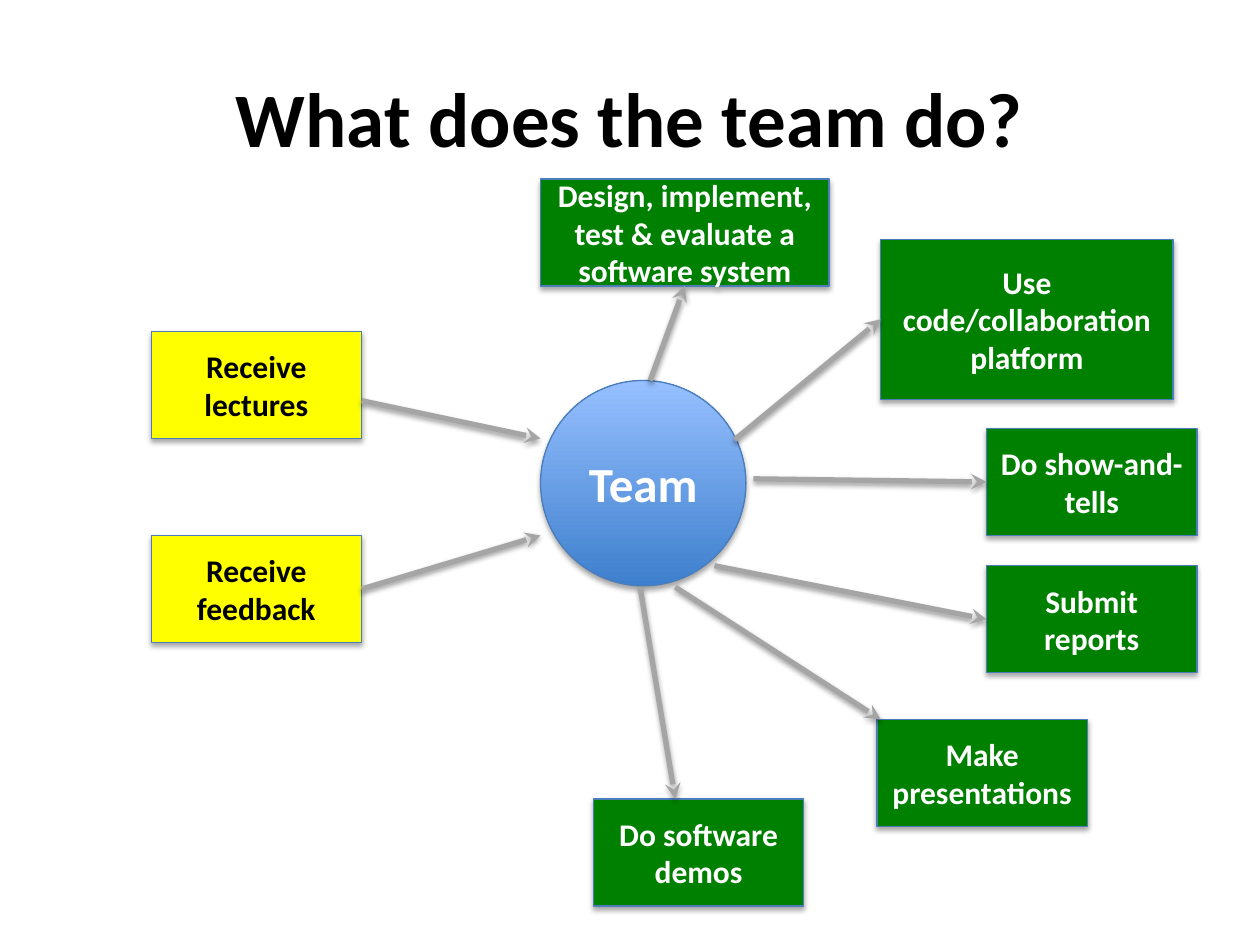
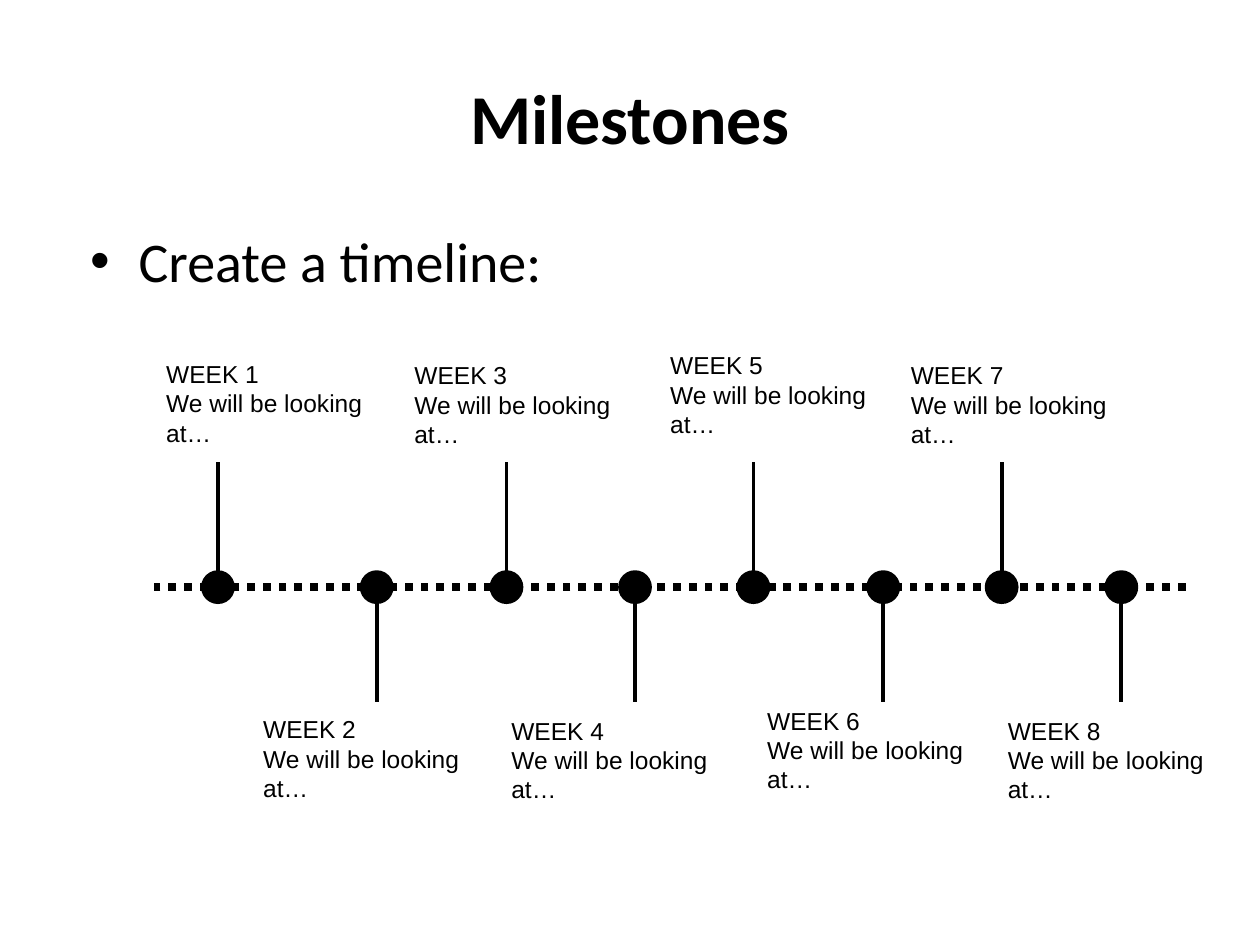
from pptx import Presentation, util as u
from pptx.dml.color import RGBColor
from pptx.enum import dml, shapes, text
from pptx.oxml.ns import qn
from lxml import etree

WIDTH, HEIGHT = 10, 7.5
BLACK, WHITE, GREEN, YELLOW = "000000", "FFFFFF", "008000", "FFFF00"
BLUE_EDGE, GREY = "4A7DBA", "A5A5A5"
TEAM_TOP, TEAM_BOTTOM = "96C0FF", "3E7FCD"
HEAD_FONT, LABEL_FONT = "Calibri", "Arial"
TOP, LEFT, BOTTOM = 0, 1, 2
RIGHT = 3

# Team slide: text, left, top, size, fill, text colour
BOX = (1.67, 0.85)
TEAM = (4.29, 3.02, 1.63, 1.63)
BOXES = [
    ("Make presentations", 6.96, 5.71, BOX, GREEN, WHITE),
    ("Receive feedback", 1.2, 4.25, BOX, YELLOW, BLACK),
    ("Receive lectures", 1.2, 2.63, BOX, YELLOW, BLACK),
    ("Do show-and-tells", 7.83, 3.4, BOX, GREEN, WHITE),
    ("Use code/collaboration platform", 6.99, 1.9, (2.32, 1.27), GREEN, WHITE),
    ("Design, implement, test & evaluate a software system",
     4.29, 1.42, (2.29, 0.85), GREEN, WHITE),
    ("Submit reports", 7.83, 4.49, BOX, GREEN, WHITE),
    ("Do software demos", 4.71, 6.34, BOX, GREEN, WHITE),
]
# Each end is a point, or the text of a box and the side to join
ARROWS = [
    ((2.87, 3.18), (4.29, 3.48)),
    (("Receive feedback", RIGHT), (4.29, 4.25)),
    ((5.16, 3.02), ("Design, implement, test & evaluate a software system", BOTTOM)),
    ((5.83, 3.49), ("Use code/collaboration platform", LEFT)),
    ((5.98, 3.8), ("Do show-and-tells", LEFT)),
    ((5.36, 4.66), (6.99, 5.71)),
    ((5.67, 4.49), ("Submit reports", LEFT)),
    ((5.08, 4.66), (5.36, 6.34)),
]

# Milestones slide: odd weeks stand above the axis, even weeks below it
WEEK_TEXT = ["We will be looking", "at…"]
DOT_CENTRES = [1.73, 2.99, 4.02, 5.04, 5.98, 7.01, 7.95, 8.9]
LABEL_PAIRS = [(1.22, 2.8), (3.19, 2.81), (5.22, 2.73), (7.13, 2.81)]
EVEN_SHIFT = (0.77, 2.82)
LABEL_SIZE = (1.99, 0.88)
AXIS_LEFT, AXIS_RIGHT, AXIS_Y = 1.22, 9.41, 4.66
DOT, STEM_START, STEM = 0.24, 4.62, 0.95


def rgb(value):
    return RGBColor.from_string(value)


def inches(*values):
    return [u.Inches(v) for v in values]


def add_run(p, words, size, color, font=HEAD_FONT, bold=False):
    r = p.add_run()
    r.text = words
    r.font.size, r.font.name, r.font.bold = u.Pt(size), font, bold
    r.font.color.rgb = rgb(color)


def add_slide(prs, layout, title, size):
    slide = prs.slides.add_slide(prs.slide_layouts[layout])
    sp = slide.shapes.title
    sp.left, sp.top, sp.width, sp.height = inches(0.5, 0.3, WIDTH - 1, 1.25)
    add_run(sp.text_frame.paragraphs[0], title, size, BLACK, bold=True)
    return slide


def set_line(sp, color, width):
    sp.line.color.rgb = rgb(color)
    sp.line.width = u.Pt(width)


def add_effects(sp, alpha=0, dist=0):
    """Give the shape a downward shadow, or none if alpha is 0."""
    spPr = sp.element.spPr
    for old in spPr.findall(qn("a:effectLst")):
        spPr.remove(old)
    effects = etree.SubElement(spPr, qn("a:effectLst"))
    if alpha:
        shadow = etree.SubElement(
            effects, qn("a:outerShdw"), blurRad=str(u.Pt(3.1)),
            dist=str(u.Pt(dist)), dir="5400000", rotWithShape="0")
        color = etree.SubElement(shadow, qn("a:srgbClr"), val=BLACK)
        etree.SubElement(color, qn("a:alpha"), val=str(alpha * 1000))


def add_solid(slide, kind, at, fill, edge, width):
    sp = slide.shapes.add_shape(kind, *inches(*at))
    sp.shadow.inherit = False
    sp.fill.solid()
    sp.fill.fore_color.rgb = rgb(fill)
    set_line(sp, edge, width)
    return sp


def add_line(slide, start, end, color, width):
    c = slide.shapes.add_connector(
        shapes.MSO_CONNECTOR.STRAIGHT, *inches(*start, *end))
    set_line(c, color, width)
    add_effects(c)
    return c


def add_node(slide, kind, words, at, fill, color, size):
    sp = add_solid(slide, kind, at, fill, BLUE_EDGE, 0.75)
    add_effects(sp, 35, 1.8)
    tf = sp.text_frame
    tf.word_wrap = True
    tf.vertical_anchor = text.MSO_ANCHOR.MIDDLE
    p = tf.paragraphs[0]
    p.alignment = text.PP_ALIGN.CENTER
    add_run(p, words, size, color, bold=True)
    return sp


def add_arrow(slide, start, end, boxes):
    joins = [e if e[0] in boxes else None for e in (start, end)]
    points = [(0, 0) if j else e for j, e in zip(joins, (start, end))]
    c = add_line(slide, *points, GREY, 3)
    for join, connect in zip(joins, (c.begin_connect, c.end_connect)):
        if join:
            connect(boxes[join[0]], join[1])
    etree.SubElement(c.element.spPr.find(qn("a:ln")), qn("a:tailEnd"), type="stealth")
    add_effects(c, 38, 1.6)


def build_team(prs):
    slide = add_slide(prs, 5, "What does the team do?", 44)
    kinds = shapes.MSO_SHAPE
    team = add_node(slide, kinds.OVAL, "Team", TEAM, TEAM_TOP, WHITE, 28)
    team.fill.gradient()
    team.fill.gradient_angle = 90
    for stop, color in zip(team.fill.gradient_stops, (TEAM_BOTTOM, TEAM_TOP)):
        stop.color.rgb = rgb(color)
    boxes = {
        words: add_node(slide, kinds.RECTANGLE, words, (x, y, *size), fill, color, 18)
        for words, x, y, size, fill, color in BOXES}
    for start, end in ARROWS:
        add_arrow(slide, start, end, boxes)


def add_week_label(slide, week):
    x, y = LABEL_PAIRS[(week - 1) // 2]
    if week % 2 == 0:
        x, y = x + EVEN_SHIFT[0], y + EVEN_SHIFT[1]
    tf = slide.shapes.add_textbox(*inches(x, y, *LABEL_SIZE)).text_frame
    tf.word_wrap = True
    for i, words in enumerate([f"WEEK {week}", *WEEK_TEXT]):
        p = tf.add_paragraph() if i else tf.paragraphs[0]
        add_run(p, words, 14, BLACK, LABEL_FONT)


def build_milestones(prs):
    slide = add_slide(prs, 1, "Milestones", 40)
    body = slide.placeholders[1]
    body.left, body.top, body.width, body.height = inches(0.5, 1.75, WIDTH - 1, 4.95)
    p = body.text_frame.paragraphs[0]
    p.space_before = u.Pt(3.6)
    pPr = p._p.get_or_add_pPr()
    pPr.set("marL", str(u.Inches(0.5)))
    pPr.set("indent", str(u.Inches(-0.38)))
    add_run(p, "Create a timeline:", 32, BLACK)

    axis = add_line(slide, (AXIS_RIGHT, AXIS_Y), (AXIS_LEFT, AXIS_Y), BLACK, 4.5)
    axis.line.dash_style = dml.MSO_LINE.ROUND_DOT
    for week, x in enumerate(DOT_CENTRES, 1):
        tip = STEM_START + (STEM if week % 2 == 0 else -STEM)
        add_line(slide, (x, STEM_START), (x, tip), BLACK, 2.25)
        add_solid(slide, shapes.MSO_SHAPE.OVAL,
                  (x - DOT / 2, AXIS_Y - DOT / 2, DOT, DOT), BLACK, BLACK, 2)
        add_week_label(slide, week)


def main():
    prs = Presentation()
    prs.slide_width, prs.slide_height = inches(WIDTH, HEIGHT)
    build_team(prs)
    build_milestones(prs)
    prs.save("out.pptx")


if __name__ == "__main__":
    main()
